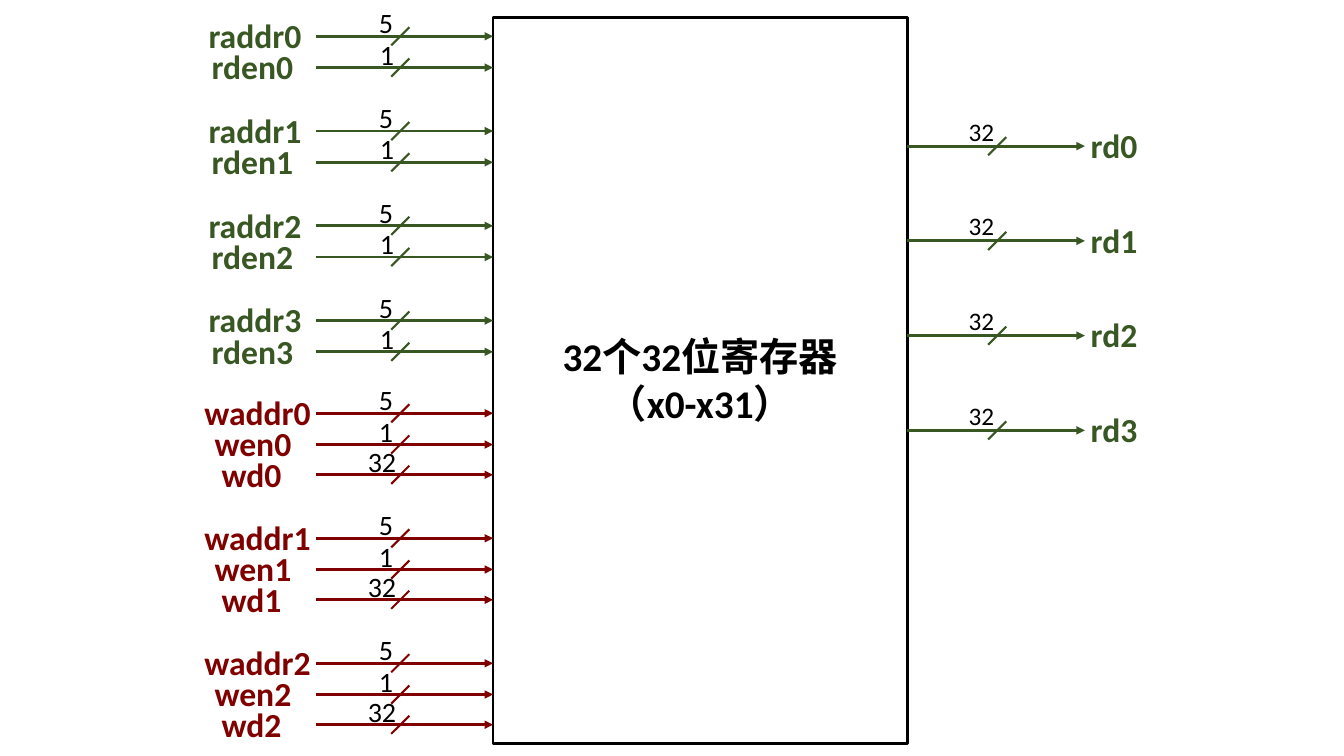
"""Draw the port diagram of a register file with four read and three write ports."""
from dataclasses import dataclass

from lxml.etree import SubElement
from pptx import Presentation
from pptx.dml.color import RGBColor
from pptx.enum.shapes import MSO_CONNECTOR, MSO_SHAPE
from pptx.enum.text import MSO_AUTO_SIZE, PP_ALIGN
from pptx.oxml.ns import qn
from pptx.util import Inches, Pt


@dataclass(frozen=True)
class Theme:
    font: str = "Calibri"
    green: str = "385723"
    maroon: str = "800000"
    ink: str = "000000"
    block_size: int = 28
    port_size: int = 24
    input_bits_size: int = 20
    output_bits_size: int = 18
    bus_width: float = 2
    slash_width: float = 1.5


theme = Theme()


def add_text(shapes, box, lines, size, color, bold=False, wrap=True, align=PP_ALIGN.LEFT):
    sp = shapes.add_textbox(*map(Inches, box))
    tf = sp.text_frame
    tf.word_wrap = wrap
    tf.auto_size = MSO_AUTO_SIZE.SHAPE_TO_FIT_TEXT
    for i, line in enumerate(lines):
        p = tf.paragraphs[0] if i == 0 else tf.add_paragraph()
        p.alignment = align
        r = p.add_run()
        r.text = line
        r.font.name = theme.font
        r.font.size = Pt(size)
        r.font.bold = bold
        r.font.color.rgb = RGBColor.from_string(color)


def add_line(shapes, ends, color, width, arrow=False):
    cx = shapes.add_connector(MSO_CONNECTOR.STRAIGHT, *map(Inches, ends))
    cx.line.color.rgb = RGBColor.from_string(color)
    cx.line.width = Pt(width)
    props = cx.element.spPr
    if arrow:
        SubElement(props.find(qn("a:ln")), qn("a:tailEnd"), type="triangle")
    SubElement(props, qn("a:effectLst"))


prs = Presentation()
prs.slide_width, prs.slide_height = Inches(13.33), Inches(7.5)
slide = prs.slides.add_slide(prs.slide_layouts[6])
shapes = slide.shapes.add_group_shape().shapes

block = shapes.add_shape(MSO_SHAPE.RECTANGLE, Inches(4.89), Inches(0.17), Inches(4.11), Inches(7.21))
block.shadow.inherit = False
block.fill.background()
block.line.color.rgb = RGBColor.from_string(theme.ink)
block.line.width = Pt(theme.bus_width)
add_text(shapes, (5.38, 3.25, 3.13, 1.04), ["32个32位寄存器", "（x0-x31）"],
         theme.block_size, theme.ink, bold=True, align=PP_ALIGN.CENTER)

banks = [
    (4, 0.36, 0.94, theme.green, 3.13, 3.88, theme.input_bits_size, [
        ("raddr", 0, 1.97, 1.13, "5", 3.66, 0.26),
        ("rden", 0.31, 2.0, 1.02, "1", 3.67, 0.26),
    ]),
    (3, 4.1, 1.24, theme.maroon, 3.13, 3.88, theme.input_bits_size, [
        ("waddr", 0, 1.93, 1.27, "5", 3.66, 0.26),
        ("wen", 0.31, 2.03, 0.97, "1", 3.66, 0.26),
        ("wd", 0.61, 2.1, 0.8, "32", 3.55, 0.57),
    ]),
    (4, 1.45, 0.94, theme.green, 9, 9.8, theme.output_bits_size, [
        ("rd", 0, 10.72, 0.67, "32", 9.51, 0.46),
    ]),
]

for ports, top, pitch, color, bus_x, slash_x, bits_size, signals in banks:
    for port in range(ports):
        for name, drop, label_x, label_w, bits, bits_x, bits_w in signals:
            y = top + pitch * port + drop
            add_line(shapes, (bus_x, y, bus_x + 1.76, y), color, theme.bus_width, arrow=True)
            add_line(shapes, (slash_x, y + 0.09, slash_x + 0.18, y - 0.09), color, theme.slash_width)
            add_text(shapes, (label_x, y - 0.26, label_w, 0.5), [f"{name}{port}"],
                     theme.port_size, color, bold=True, wrap=False)
            add_text(shapes, (bits_x, y - 0.35, bits_w, 0.44), [bits], bits_size, theme.ink)

prs.save("out.pptx")
